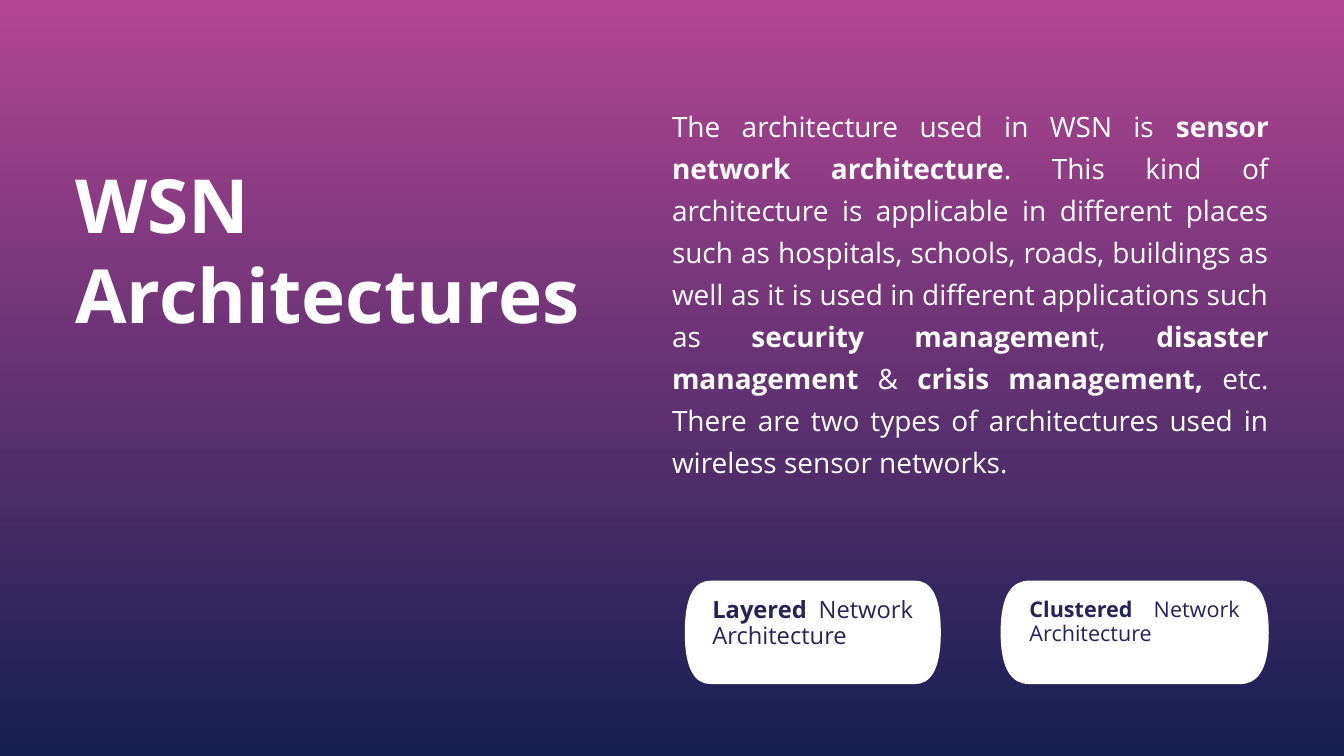
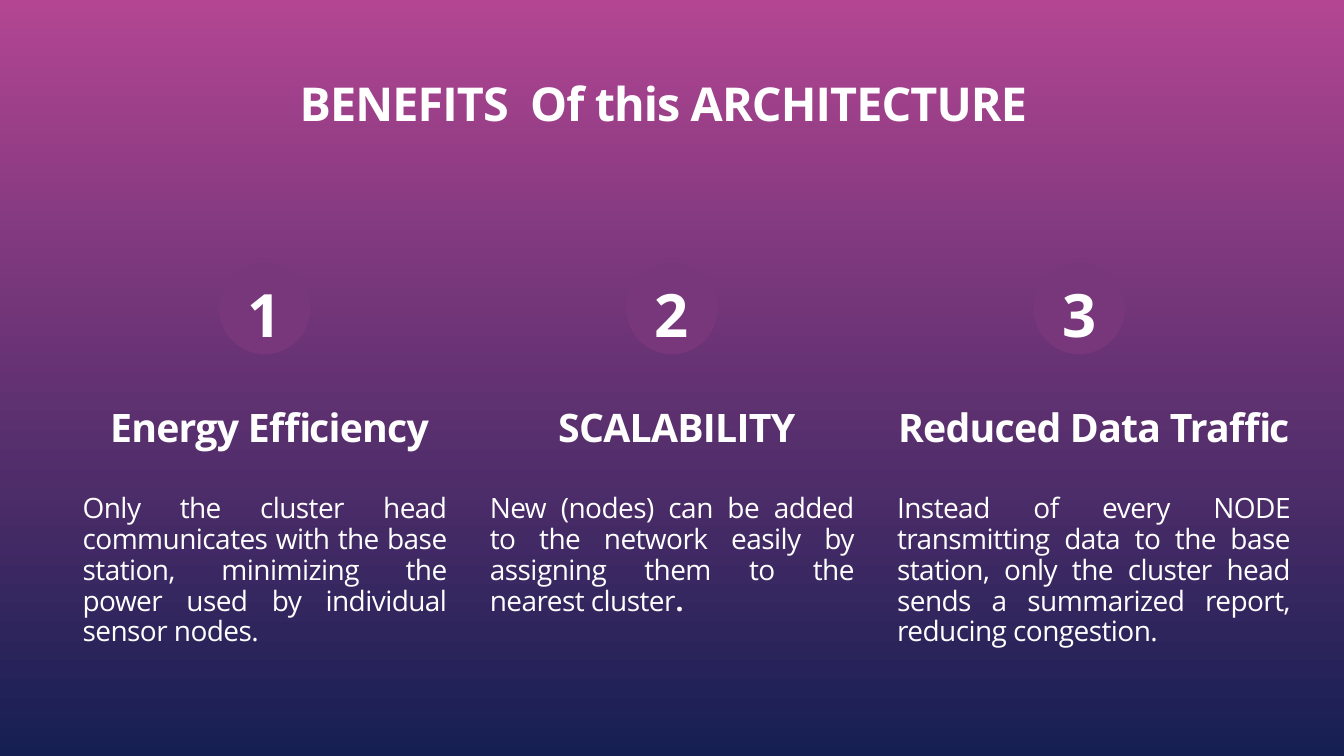
import dataclasses
import typing

import lxml.etree
import pptx
import pptx.dml.color
import pptx.enum.shapes
import pptx.enum.text
import pptx.oxml.ns
import pptx.util

EMU_PER_PX = 9144
PAGE_WIDTH, PAGE_HEIGHT = 2000, 1125
FONT_NAME = "Open Sans"
WHITE, NAVY_TEXT, BADGE_PURPLE = "FFFFFF", "242358", "79377B"
GRADIENT = ("B34593", "151F52")
LEFT = pptx.enum.text.PP_ALIGN.LEFT
CENTER = pptx.enum.text.PP_ALIGN.CENTER
JUSTIFY = pptx.enum.text.PP_ALIGN.JUSTIFY


@dataclasses.dataclass(frozen=True)
class Area:
    left: int
    top: int
    width: int
    height: int


@dataclasses.dataclass(frozen=True)
class Style:
    size: float
    line: float
    align: typing.Any = LEFT
    color: str = WHITE
    bold: bool = False
    spacing: float = 0
    after: float = 0


@dataclasses.dataclass(frozen=True)
class Para:
    style: Style
    spans: tuple[str, ...]
    bold_spans: tuple[int, ...] = ()


@dataclasses.dataclass(frozen=True)
class Pill:
    area: Area
    corner: int
    label: Area
    size: float
    line: float
    kind: str


@dataclasses.dataclass(frozen=True)
class Benefit:
    heading: str
    body: tuple[str, ...]
    width: int
    height: int


MAIN_TITLE = Style(80, 96, bold=True)
PAGE_TITLE = Style(50, 55, CENTER, bold=True, spacing=-1)
INTRO = Style(30, 45, JUSTIFY)
NUMBER = Style(64, 100.5, CENTER, bold=True, spacing=-1.6)
BENEFIT_HEADING = Style(42, 46.2, CENTER, bold=True, spacing=-0.8, after=46.2)
BENEFIT_BODY = Style(30, 33, JUSTIFY, spacing=-0.6)

INTRO_SPANS = (
    "The architecture used in WSN is ",
    "sensor network architecture",
    ". This kind of architecture is applicable in different places such as hospitals, "
    "schools, roads, buildings as well as it is used in different applications such as ",
    "security managemen",
    "t, ",
    "disaster management",
    " & ",
    "crisis management,",
    " etc. There are two types of architectures used in wireless sensor networks.",
)
PILLS = (
    Pill(Area(1019, 864, 381, 154), 39, Area(1060, 889, 299, 107), 25.4, 27.9, "Layered"),
    Pill(Area(1489, 864, 399, 154), 43, Area(1532, 890, 313, 104), 23.1, 25.4, "Clustered"),
)
BENEFITS = (
    Benefit(
        " Energy Efficiency",
        ("Only the cluster head communicates with the base station, "
         "minimizing the power used by individual sensor nodes.",),
        542, 357,
    ),
    Benefit(
        " SCALABILITY",
        ("New (nodes) can be added to the network easily by "
         "assigning them to the nearest cluster", "."),
        542, 311,
    ),
    Benefit(
        "Reduced Data Traffic",
        ("Instead of every NODE transmitting data to the base station, only the "
         "cluster head sends a summarized report, reducing congestion.",),
        585, 421,
    ),
)
COLUMN_LEFT, COLUMN_PITCH, COLUMN_TOP = 123, 606, 606
BADGE_OFFSET, BADGE_TOP, BADGE_SIZE = 203, 391, 136
NUMBER_TOP, NUMBER_HEIGHT = 380, 131
SIDE_PULL, FLAT_PULL = 0.77, 0.56


def px(length: float) -> int:
    return round(length * EMU_PER_PX)


def rgb(code: str) -> pptx.dml.color.RGBColor:
    return pptx.dml.color.RGBColor.from_string(code)


def place(area: Area) -> tuple[int, int, int, int]:
    return px(area.left), px(area.top), px(area.width), px(area.height)


def paint(shape: typing.Any, color: str) -> None:
    shape.shadow.inherit = False
    shape.fill.solid()
    shape.fill.fore_color.rgb = rgb(color)
    shape.line.fill.background()


def add_page(deck: typing.Any) -> typing.Any:
    page = deck.slides.add_slide(deck.slide_layouts[6])
    fill = page.background.fill
    fill.gradient()
    fill.gradient_angle = 270
    for stop, color in zip(fill.gradient_stops, GRADIENT):
        stop.color.rgb = rgb(color)
    return page


def add_text(holder: typing.Any, area: Area, *paras: Para) -> None:
    frame = holder.shapes.add_textbox(*place(area)).text_frame
    frame.word_wrap = True
    frame.margin_left = frame.margin_right = frame.margin_top = frame.margin_bottom = 0
    for position, para in enumerate(paras):
        paragraph = frame.add_paragraph() if position else frame.paragraphs[0]
        style = para.style
        paragraph.alignment = style.align
        paragraph.line_spacing = pptx.util.Pt(style.line)
        if style.after:
            paragraph.space_after = pptx.util.Pt(style.after)
        for index, text in enumerate(para.spans):
            span = paragraph.add_run()
            span.text = text
            span.font.name = FONT_NAME
            span.font.size = pptx.util.Pt(style.size)
            span.font.bold = style.bold or index in para.bold_spans
            span.font.color.rgb = rgb(style.color)
            if style.spacing:
                span._r.get_or_add_rPr().set("spc", str(round(style.spacing * 100)))


def bend(line: typing.Any, controls: list[tuple[float, float]]) -> None:
    qualify = pptx.oxml.ns.qn
    curve = lxml.etree.Element(qualify("a:cubicBezTo"))
    for x, y in controls:
        lxml.etree.SubElement(curve, qualify("a:pt"), x=str(px(x)), y=str(px(y)))
    line.getparent().replace(line, curve)


def add_pill(page: typing.Any, pill: Pill) -> None:
    group = page.shapes.add_group_shape()
    area, corner = pill.area, pill.corner
    width, height, middle = area.width, area.height, area.height / 2
    anchors = [
        (width, middle), (width - corner, height), (corner, height),
        (0, middle), (corner, 0), (width - corner, 0), (width, middle),
    ]
    points = [(px(area.left + x), px(area.top + y)) for x, y in anchors]
    builder = group.shapes.build_freeform(*points[0])
    builder.add_line_segments(points[1:], close=True)
    outline = builder.convert_to_shape()
    lines = list(outline._element.iter(pptx.oxml.ns.qn("a:lnTo")))
    for line, start, end in zip(lines, anchors, anchors[1:]):
        if start[1] == end[1]:
            continue
        starts_at_side = start[1] == middle
        side, flat = (start, end) if starts_at_side else (end, start)
        controls = [
            (side[0], side[1] + SIDE_PULL * (flat[1] - side[1])),
            (flat[0] + FLAT_PULL * (side[0] - flat[0]), flat[1]),
        ]
        bend(line, (controls if starts_at_side else controls[::-1]) + [end])
    paint(outline, WHITE)
    style = Style(pill.size, pill.line, JUSTIFY, NAVY_TEXT)
    add_text(group, pill.label, Para(style, (pill.kind, " Network Architecture"), (0,)))


def add_benefit(page: typing.Any, index: int, benefit: Benefit) -> None:
    left = COLUMN_LEFT + index * COLUMN_PITCH
    add_text(
        page,
        Area(left, COLUMN_TOP, benefit.width, benefit.height),
        Para(BENEFIT_HEADING, (benefit.heading,)),
        Para(BENEFIT_BODY, benefit.body, (1,)),
    )


def add_badge(page: typing.Any, index: int) -> None:
    left = COLUMN_LEFT + index * COLUMN_PITCH + BADGE_OFFSET
    badge = Area(left, BADGE_TOP, BADGE_SIZE, BADGE_SIZE)
    oval = pptx.enum.shapes.MSO_SHAPE.OVAL
    paint(page.shapes.add_shape(oval, *place(badge)), BADGE_PURPLE)
    number_area = dataclasses.replace(badge, top=NUMBER_TOP, height=NUMBER_HEIGHT)
    add_text(page, number_area, Para(NUMBER, (str(index + 1),)))


def build_architectures(deck: typing.Any) -> None:
    page = add_page(deck)
    add_text(page, Area(112, 237, 768, 400), Para(MAIN_TITLE, ("WSN Architectures",)))
    add_text(page, Area(1000, 151, 888, 549), Para(INTRO, INTRO_SPANS, (1, 3, 5, 7)))
    for pill in PILLS:
        add_pill(page, pill)


def build_benefits(deck: typing.Any) -> None:
    page = add_page(deck)
    for index, benefit in enumerate(BENEFITS):
        add_benefit(page, index, benefit)
    for index in range(len(BENEFITS)):
        add_badge(page, index)
    title = Para(PAGE_TITLE, ("BENEFITS  Of this ARCHITECTURE",))
    add_text(page, Area(439, 118, 1096, 78), title)


def main() -> None:
    deck = pptx.Presentation()
    deck.slide_width, deck.slide_height = px(PAGE_WIDTH), px(PAGE_HEIGHT)
    build_architectures(deck)
    build_benefits(deck)
    deck.save("out.pptx")


if __name__ == "__main__":
    main()
